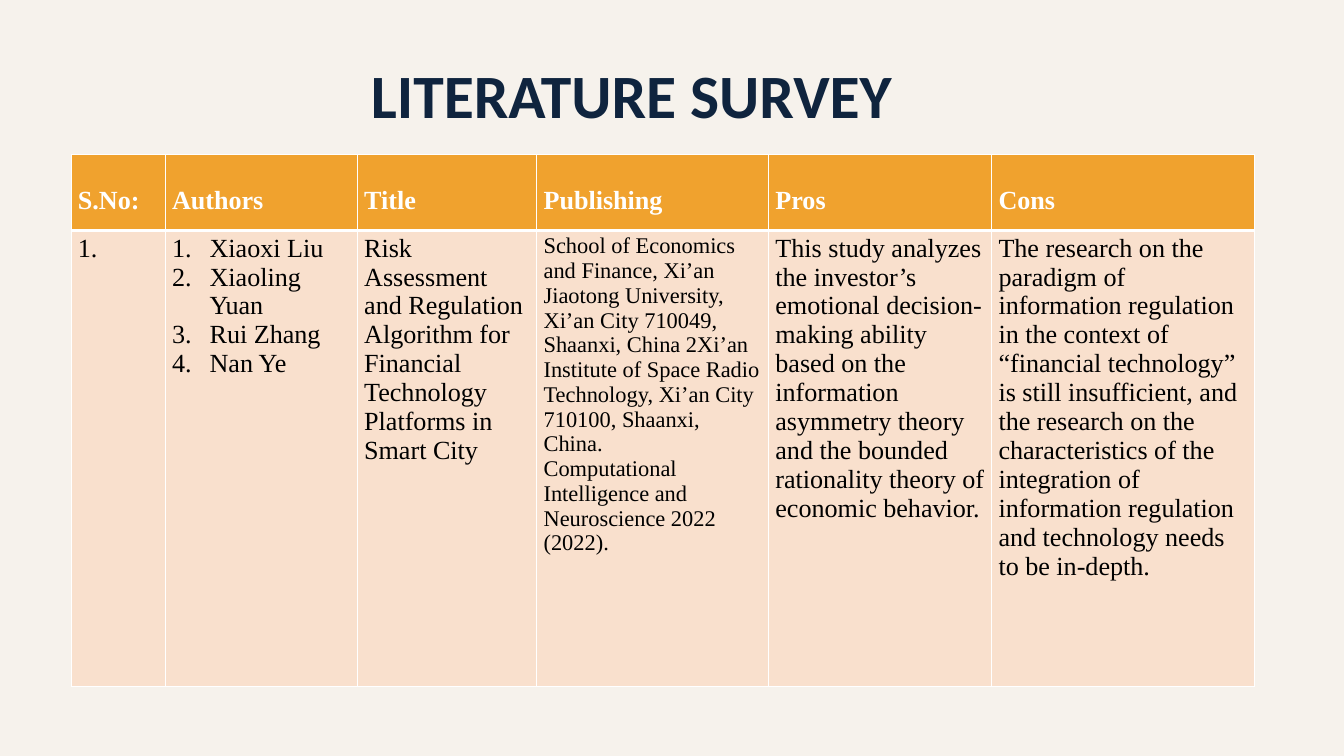
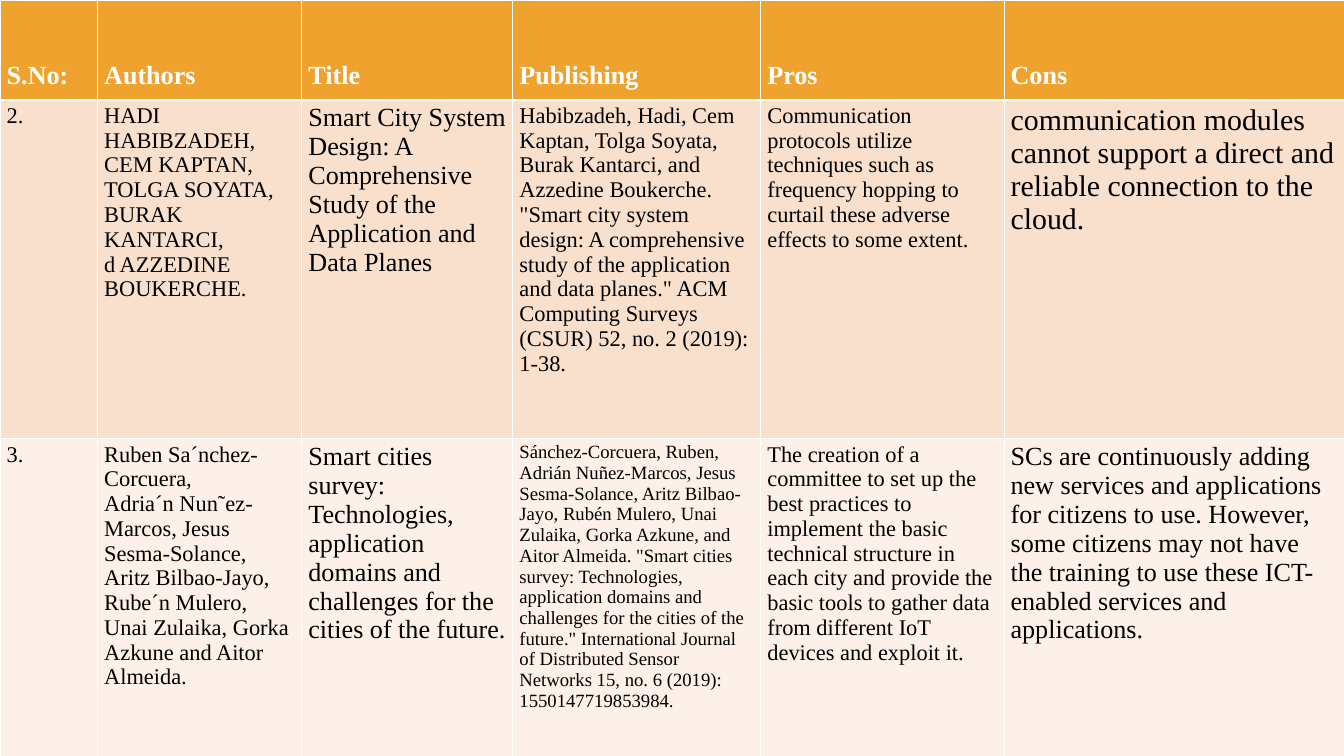
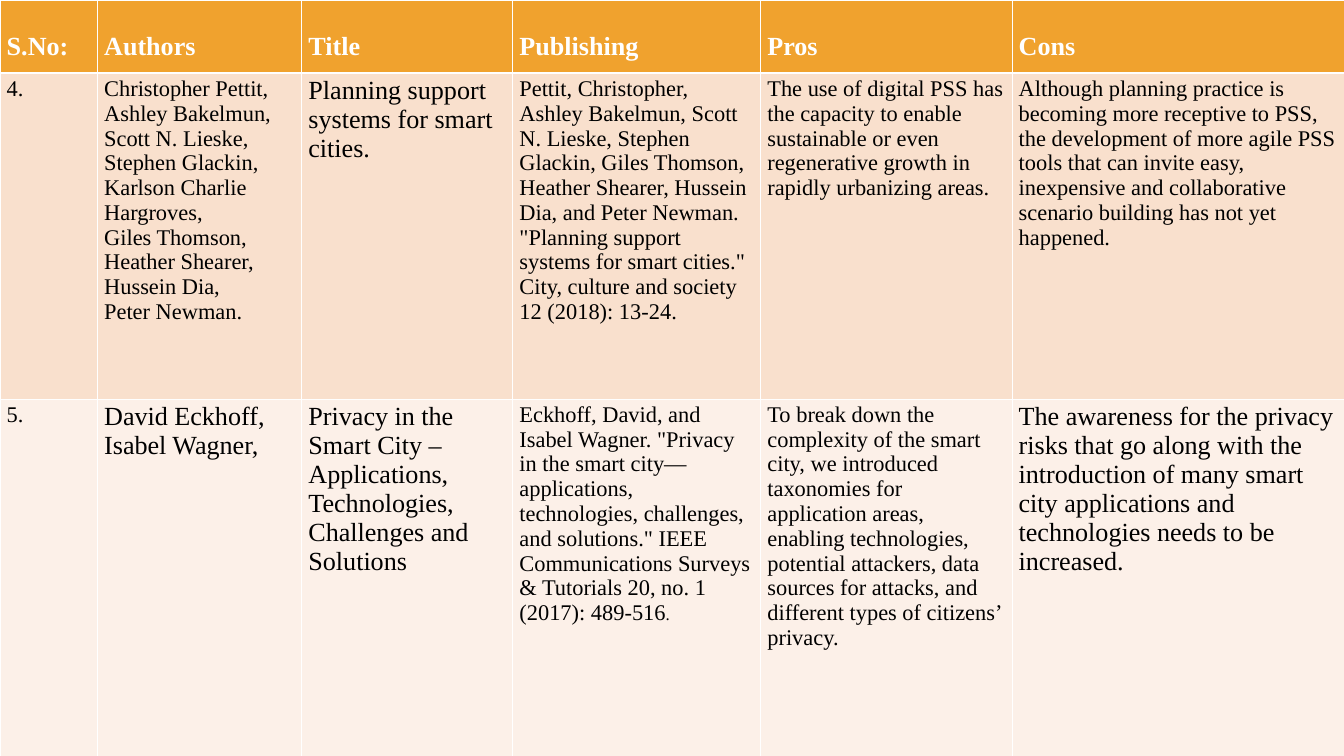
import pptx
import pptx.dml.color
import pptx.enum.text
import pptx.oxml
import pptx.oxml.ns
import pptx.util

Inches = pptx.util.Inches
Pt = pptx.util.Pt

COLOURS = {
    "background": "F6F2EC",
    "title": "0F243E",
    "header": "F0A22E",
    "header text": "FFFFFF",
    "text": "000000",
    "odd row": "F9E0CD",
    "even row": "FCF0E8",
    "border": "FFFFFF",
}
TITLE_FONT = "Calibri"
TABLE_FONT = "Times New Roman"
HEADER_SIZE = 28
HEADER_LINE = 0.43  # height of one header line, in inches
HEADINGS = ["S.No:", "Authors", "Title", "Publishing", "Pros", "Cons"]

# Each cell is (text size, paragraphs); a paragraph may be a list of
# (text, size) spans. "lead" counts the header lines left free above the text.
SURVEYS = [
    {
        "title": "LITERATURE SURVEY",
        "at": (1.06, 2.29),
        "columns": [1.4, 2.86, 2.67, 3.45, 3.32, 3.91],
        "rows": [1.14, 6.78],
        "lead": 1,
        "numbered": True,
        "papers": [
            [
                (28, ["1."]),
                (28, ["Xiaoxi Liu", "Xiaoling Yuan", "Rui Zhang", "Nan Ye"]),
                (28, ["Risk Assessment and Regulation Algorithm for Financial "
                      "Technology Platforms in Smart City"]),
                (24, ["School of Economics and Finance, Xi’an Jiaotong University, "
                      "Xi’an City 710049, Shaanxi, China 2Xi’an Institute of Space "
                      "Radio Technology, Xi’an City 710100, Shaanxi, China.",
                      "Computational Intelligence and Neuroscience 2022 (2022)."]),
                (28, ["This study analyzes the investor’s emotional decision-making "
                      "ability based on the information asymmetry theory and the "
                      "bounded rationality theory of economic behavior."]),
                (28, ["The research on the paradigm of information regulation in the "
                      "context of “financial technology” is still insufficient, and "
                      "the research on the characteristics of the integration of "
                      "information regulation and technology needs to be in-depth."]),
            ],
        ],
    },
    {
        "at": (0, 0),
        "columns": [1.45, 3.04, 3.14, 3.69, 3.62, 5.06],
        "rows": [1.49, 5.04, 4.72],
        "lead": 2,
        "papers": [
            [
                (24, ["2."]),
                (24, ["HADI HABIBZADEH,", "CEM KAPTAN,", "TOLGA SOYATA,",
                      "BURAK KANTARCI,", "d AZZEDINE BOUKERCHE."]),
                (28, ["Smart City System Design: A Comprehensive Study of the "
                      "Application and Data Planes"]),
                (24, ["Habibzadeh, Hadi, Cem Kaptan, Tolga Soyata, Burak Kantarci, "
                      "and Azzedine Boukerche. \"Smart city system design: A "
                      "comprehensive study of the application and data planes.\" ACM "
                      "Computing Surveys (CSUR) 52, no. 2 (2019): 1-38."]),
                (24, ["Communication protocols utilize techniques such as frequency "
                      "hopping to curtail these adverse effects to some extent."]),
                (32, ["communication modules cannot support a direct and reliable "
                      "connection to the cloud."]),
            ],
            [
                (24, ["3."]),
                (24, ["Ruben Sa´nchez-Corcuera,",
                      "Adria´n Nun˜ez-Marcos, Jesus Sesma-Solance, Aritz Bilbao-Jayo, "
                      "Rube´n Mulero, Unai Zulaika, Gorka Azkune and Aitor Almeida."]),
                (28, ["Smart cities survey: Technologies, application domains and "
                      "challenges for the cities of the future."]),
                (20, ["Sánchez-Corcuera, Ruben, Adrián Nuñez-Marcos, Jesus "
                      "Sesma-Solance, Aritz Bilbao-Jayo, Rubén Mulero, Unai Zulaika, "
                      "Gorka Azkune, and Aitor Almeida. \"Smart cities survey: "
                      "Technologies, application domains and challenges for the "
                      "cities of the future.\" International Journal of Distributed "
                      "Sensor Networks 15, no. 6 (2019): 1550147719853984."]),
                (24, ["The creation of a committee to set up the best practices to "
                      "implement the basic technical structure in each city and "
                      "provide the basic tools to gather data from different IoT "
                      "devices and exploit it."]),
                (28, ["SCs are continuously adding new services and applications for "
                      "citizens to use. However, some citizens may not have the "
                      "training to use these ICT-enabled services and applications."]),
            ],
        ],
    },
    {
        "at": (0, 0),
        "columns": [1.45, 3.04, 3.14, 3.69, 3.74, 4.94],
        "rows": [1.09, 4.85, 5.31],
        "lead": 1,
        "papers": [
            [
                (24, ["4."]),
                (24, ["Christopher Pettit,", "Ashley Bakelmun,", "Scott N. Lieske,",
                      "Stephen Glackin,", "Karlson Charlie Hargroves,",
                      "Giles Thomson,", "Heather Shearer,", "Hussein Dia,",
                      "Peter Newman."]),
                (28, ["Planning support systems for smart cities."]),
                (24, ["Pettit, Christopher, Ashley Bakelmun, Scott N. Lieske, Stephen "
                      "Glackin, Giles Thomson, Heather Shearer, Hussein Dia, and "
                      "Peter Newman. \"Planning support systems for smart cities.\" "
                      "City, culture and society 12 (2018): 13-24."]),
                (24, ["The use of digital PSS has the capacity to enable sustainable "
                      "or even regenerative growth in rapidly urbanizing areas."]),
                (24, ["Although planning practice is becoming more receptive to PSS, "
                      "the development of more agile PSS tools that can invite easy, "
                      "inexpensive and collaborative scenario building has not yet "
                      "happened."]),
            ],
            [
                (24, ["5."]),
                (28, ["David Eckhoff,", "Isabel Wagner,"]),
                (28, ["Privacy in the Smart City – Applications, Technologies, "
                      "Challenges and Solutions"]),
                (24, [[("Eckhoff, David, and Isabel Wagner. \"Privacy in the smart "
                        "city—applications, technologies, challenges, and "
                        "solutions.\" IEEE Communications Surveys & Tutorials 20, "
                        "no. 1 (2017): 489-516", 24), (".", 18)]]),
                (24, ["To break down the complexity of the smart city, we introduced "
                      "taxonomies for application areas, enabling technologies, "
                      "potential attackers, data sources for attacks, and different "
                      "types of citizens’ privacy."]),
                (28, ["The awareness for the privacy risks that go along with the "
                      "introduction of many smart city applications and technologies "
                      "needs to be increased."]),
            ],
        ],
    },
]


def colour(name):
    return pptx.dml.color.RGBColor.from_string(COLOURS[name])


def format_span(span, font, size, colour_name, bold):
    span.font.name = font
    span.font.size = Pt(size)
    span.font.bold = bold
    span.font.color.rgb = colour(colour_name)


def set_borders(cell, top, bottom):
    """Draw the four cell edges; top and bottom are widths in points."""
    properties = cell._tc.get_or_add_tcPr()
    for index, (side, width) in enumerate(
            [("L", 1), ("R", 1), ("T", top), ("B", bottom)]):
        properties.insert(index, pptx.oxml.parse_xml(
            f'<a:ln{side} {pptx.oxml.ns.nsdecls("a")} w="{Pt(width)}">'
            f'<a:solidFill><a:srgbClr val="{COLOURS["border"]}"/></a:solidFill>'
            f'</a:ln{side}>'))


def number_paragraph(para):
    properties = para._p.get_or_add_pPr()
    properties.set("marL", str(Inches(0.56)))
    properties.set("indent", str(-Inches(0.56)))
    properties.append(pptx.oxml.parse_xml(
        f'<a:buAutoNum {pptx.oxml.ns.nsdecls("a")} type="arabicPeriod"/>'))


def fill_cell(cell, content, fill, text_colour, bold=False):
    size, paragraphs = content
    cell.fill.solid()
    cell.fill.fore_color.rgb = colour(fill)
    frame = cell.text_frame
    for index, spans in enumerate(paragraphs):
        para = frame.paragraphs[0] if index == 0 else frame.add_paragraph()
        if isinstance(spans, str):
            spans = [(spans, size)]
        for text, span_size in spans:
            span = para.add_run()
            span.text = text
            format_span(span, TABLE_FONT, span_size, text_colour, bold)


def add_title(page, text):
    box = page.shapes.title
    box.left, box.top, box.width, box.height = map(Inches, (5.42, 0.79, 12.25, 1.21))
    frame = box.text_frame
    frame.text = text
    frame.auto_size = pptx.enum.text.MSO_AUTO_SIZE.NONE
    frame.vertical_anchor = pptx.enum.text.MSO_ANCHOR.TOP
    para = frame.paragraphs[0]
    para.alignment = pptx.enum.text.PP_ALIGN.LEFT
    format_span(para.runs[0], TITLE_FONT, 66, "title", True)


def add_survey_table(page, survey):
    columns, rows = survey["columns"], survey["rows"]
    left, top = survey["at"]
    table = page.shapes.add_table(
        len(rows), len(columns), Inches(left), Inches(top),
        Inches(sum(columns)), Inches(sum(rows))).table
    for column, width in zip(table.columns, columns):
        column.width = Inches(width)
    for row, height in zip(table.rows, rows):
        row.height = Inches(height)

    # Header row, its text pushed down by the free lines
    for index, heading in enumerate(HEADINGS):
        cell = table.cell(0, index)
        fill_cell(cell, (HEADER_SIZE, [heading]), "header", "header text", True)
        cell.margin_top = Inches(0.05 + HEADER_LINE * survey["lead"])
        set_borders(cell, 1, 3)

    # One row for each paper
    for number, paper in enumerate(survey["papers"], 1):
        for index, content in enumerate(paper):
            cell = table.cell(number, index)
            fill_cell(cell, content, "odd row" if number % 2 else "even row", "text")
            set_borders(cell, 3 if number == 1 else 1, 1)

    if survey.get("numbered"):
        for para in table.cell(1, HEADINGS.index("Authors")).text_frame.paragraphs:
            number_paragraph(para)


def main():
    deck = pptx.Presentation()
    deck.slide_width, deck.slide_height = Inches(20), Inches(11.25)
    background = deck.slide_master.background.fill
    background.solid()
    background.fore_color.rgb = colour("background")
    title_only, blank = deck.slide_layouts[5], deck.slide_layouts[6]

    for survey in SURVEYS:
        page = deck.slides.add_slide(title_only if "title" in survey else blank)
        if "title" in survey:
            add_title(page, survey["title"])
        add_survey_table(page, survey)
    deck.save("out.pptx")


if __name__ == "__main__":
    main()
